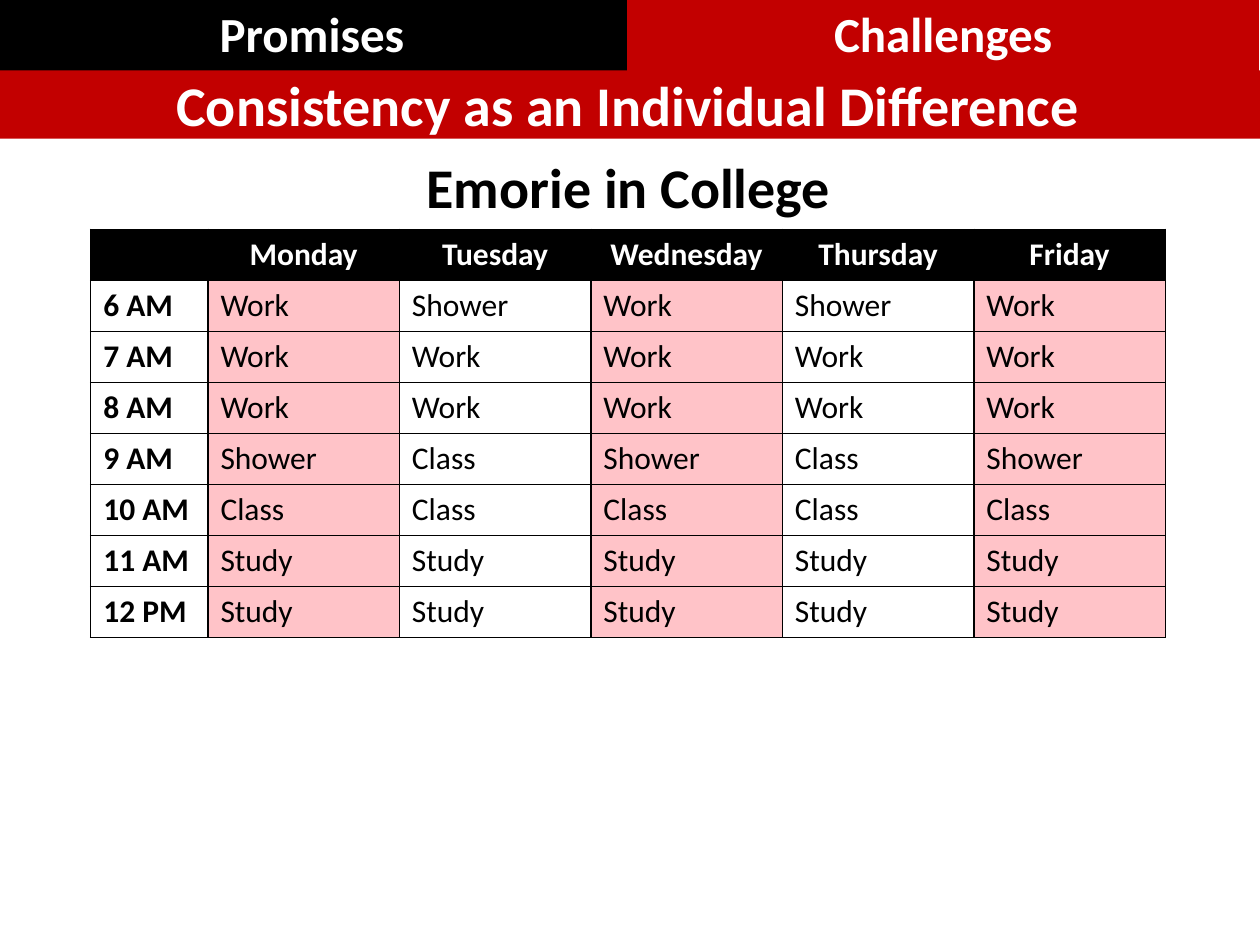
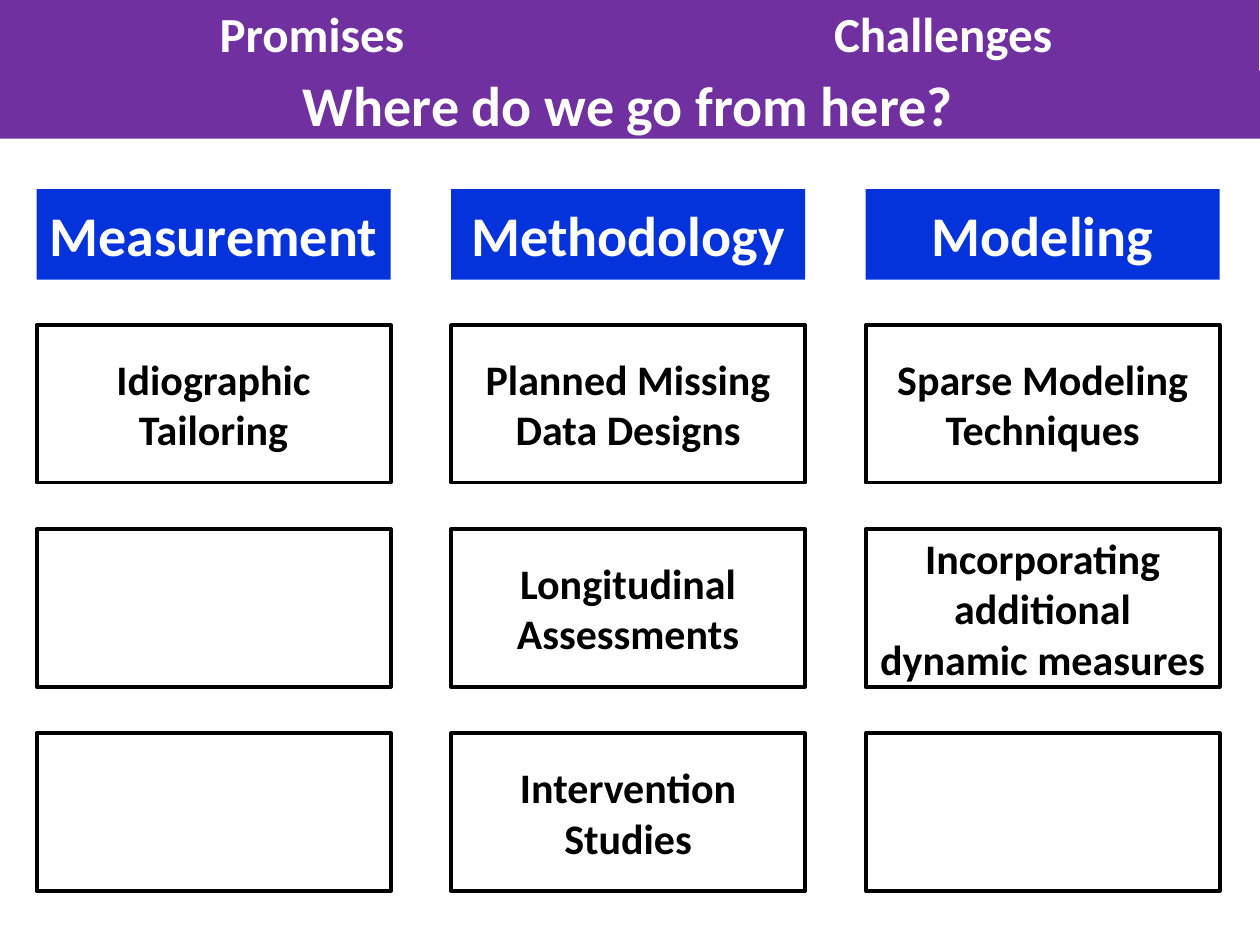
from lxml.etree import SubElement
from pptx import Presentation
from pptx.dml.color import RGBColor
from pptx.enum.shapes import MSO_SHAPE as Shape
from pptx.enum.text import MSO_ANCHOR as Anchor, PP_ALIGN as Align
from pptx.oxml.ns import qn
from pptx.util import Inches, Pt

COLOURS = {
    "black": "000000",
    "white": "FFFFFF",
    "red": "C20000",
    "purple": "7030A0",
    "blue": "0432DB",
    "pink": "FFC3C8",
}
FONT = "Calibri"
DAYS = ["", "Monday", "Tuesday", "Wednesday", "Thursday", "Friday"]
# Each hour: label, activity on Mon/Wed/Fri, activity on Tue/Thu
HOURS = [
    ("6 AM", "Work", "Shower"),
    ("7 AM", "Work", "Work"),
    ("8 AM", "Work", "Work"),
    ("9 AM", "Shower", "Class"),
    ("10 AM", "Class", "Class"),
    ("11 AM", "Study", "Study"),
    ("12 PM", "Study", "Study"),
]
DIRECTIONS = {
    "Measurement": ["Idiographic Tailoring", "", ""],
    "Methodology": ["Planned Missing Data Designs", "Longitudinal Assessments",
                    "Intervention Studies"],
    "Modeling": ["Sparse Modeling Techniques",
                 "Incorporating additional dynamic measures", ""],
}


def colour(name):
    """Return the named colour."""
    return RGBColor.from_string(COLOURS[name])


def write(text_frame, text, size, font_colour, bold=True, align=Align.CENTER):
    """Put one formatted paragraph into a text frame."""
    text_frame.text = text
    paragraph = text_frame.paragraphs[0]
    paragraph.alignment = align
    font = paragraph.font
    for run in paragraph.runs:
        font = run.font
    font.name, font.size, font.bold = FONT, Pt(size), bold
    font.color.rgb = colour(font_colour)


def add_box(slide, box, text, size, font_colour, fill=None, line=None):
    """Add a rectangle with centred text."""
    shape = slide.shapes.add_shape(Shape.RECTANGLE, *map(Inches, box))
    shape.shadow.inherit = False
    if fill:
        shape.fill.solid()
        shape.fill.fore_color.rgb = colour(fill)
    else:
        shape.fill.background()
    if line:
        shape.line.color.rgb = colour(line)
        shape.line.width = Pt(2.25)
    else:
        shape.line.fill.background()
    if text:
        shape.text_frame.word_wrap = True
        shape.text_frame.vertical_anchor = Anchor.MIDDLE
        write(shape.text_frame, text, size, font_colour)


def add_heading(slide, box, text):
    """Add a centred heading."""
    text_frame = slide.shapes.add_textbox(*map(Inches, box)).text_frame
    text_frame.word_wrap = True
    write(text_frame, text, 32, "black")


def add_table(slide, box, widths, row_count):
    """Add an unbanded table with the given column widths."""
    table = slide.shapes.add_table(row_count, len(widths), *map(Inches, box)).table
    table.first_row = table.horz_banding = False
    for column, width in zip(table.columns, widths):
        column.width = Inches(width)
    return table


def style_cell(cell, fill=None, border=None):
    """Set the borders of a cell, then its fill."""
    properties = cell._tc.get_or_add_tcPr()
    for side in ("a:lnL", "a:lnR", "a:lnT", "a:lnB"):
        line = SubElement(properties, qn(side), w=str(Pt(1)))
        if border:
            solid = SubElement(line, qn("a:solidFill"))
            SubElement(solid, qn("a:srgbClr"), val=COLOURS[border])
        else:
            SubElement(line, qn("a:noFill"))
    if fill:
        cell.fill.solid()
        cell.fill.fore_color.rgb = colour(fill)
    else:
        cell.fill.background()


def add_header(slide, title, promises_fill, theme):
    """Add the section tabs and the title band."""
    tabs = add_table(slide, (-0.03, -0.02, 10.03, 0.61), [5.01, 5.01], 1)
    sections = [("Promises", promises_fill), ("Challenges", theme)]
    for column, (section, fill) in enumerate(sections):
        cell = tabs.cell(0, column)
        style_cell(cell, fill)
        cell.vertical_anchor = Anchor.MIDDLE
        write(cell.text_frame, section, 28, "white")
    add_box(slide, (-0.03, 0.56, 10.03, 0.54), title, 32, "white", theme)


def add_schedule(slide):
    """Add the weekly timetable, shading alternate days."""
    rows = [DAYS] + [[hour, odd, even, odd, even, odd] for hour, odd, even in HOURS]
    table = add_table(slide, (0.72, 1.82, 8.53, 3.24), [0.93] + [1.52] * 5, len(rows))
    for row, texts in enumerate(rows):
        table.rows[row].height = Inches(3.24 / len(rows))
        for column, text in enumerate(texts):
            cell = table.cell(row, column)
            is_header = row == 0
            shade = "pink" if column % 2 else None
            style_cell(cell, "black" if is_header else shade, "black")
            write(cell.text_frame, text, 18, "white" if is_header else "black",
                  bold=is_header or column == 0,
                  align=Align.CENTER if is_header else Align.LEFT)


def add_directions(slide):
    """Add a column of boxes under each research area."""
    for column, (area, ideas) in enumerate(DIRECTIONS.items()):
        left = 0.29 + 3.29 * column
        add_box(slide, (left, 1.5, 2.81, 0.72), area, 32, "white", "blue")
        for row, idea in enumerate(ideas):
            box = (left, 2.58 + 1.62 * row, 2.81, 1.25)
            add_box(slide, box, idea, 24, "black", line="black")


def main():
    """Build both slides and save the presentation."""
    presentation = Presentation()
    presentation.slide_width, presentation.slide_height = Inches(10), Inches(7.5)
    blank = presentation.slide_layouts[6]

    slide = presentation.slides.add_slide(blank)
    add_header(slide, "Consistency as an Individual Difference", "black", "red")
    add_heading(slide, (2.74, 1.16, 4.5, 0.64), "Emorie in College")
    add_schedule(slide)

    slide = presentation.slides.add_slide(blank)
    add_header(slide, "Where do we go from here?", "purple", "purple")
    add_directions(slide)

    presentation.save("out.pptx")


if __name__ == "__main__":
    main()
